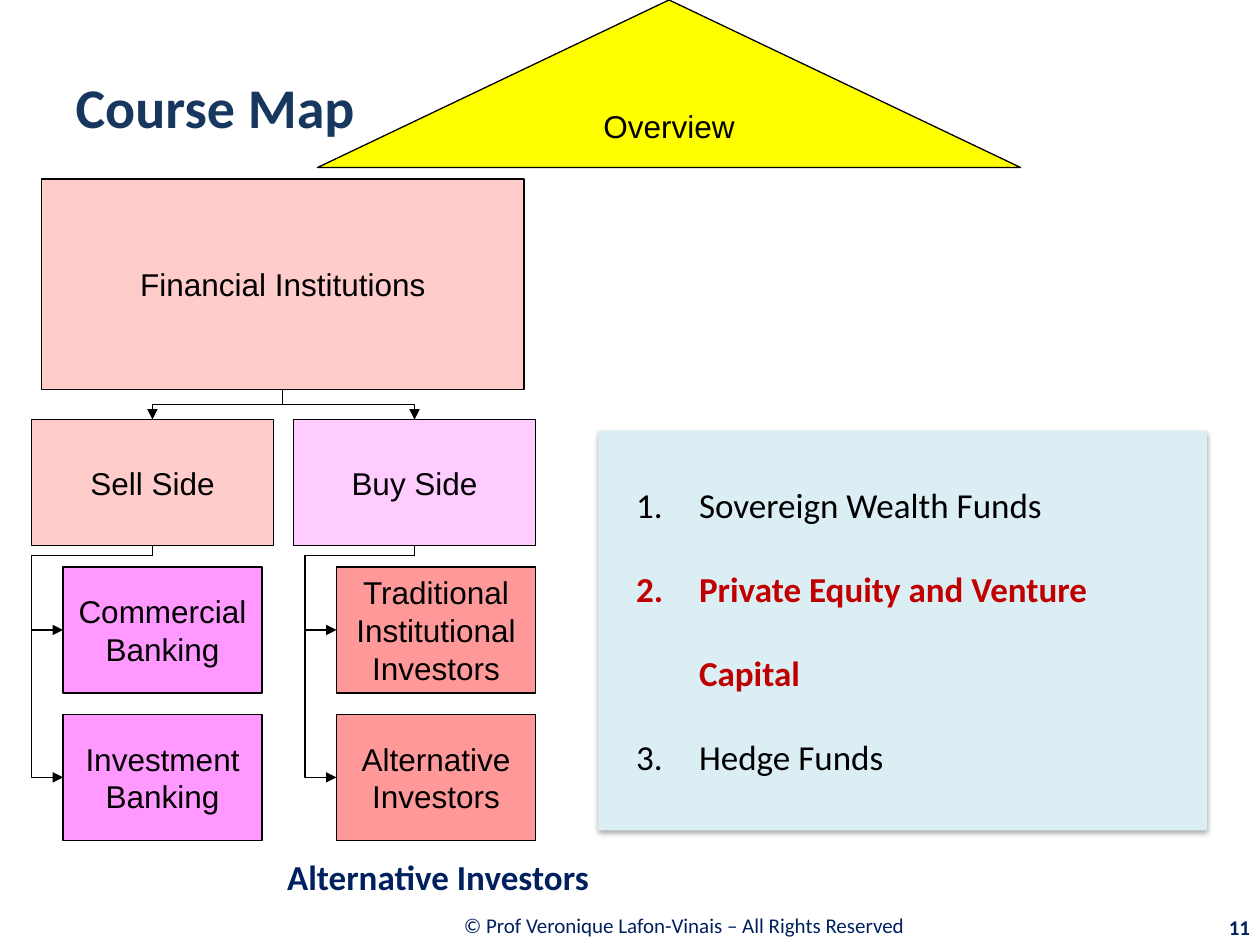
"""Build the course map slide: an overview roof, an institution tree and a topic list."""
from dataclasses import dataclass

from lxml import etree
from pptx import Presentation
from pptx.dml.color import RGBColor
from pptx.enum.shapes import MSO_CONNECTOR, MSO_SHAPE
from pptx.enum.text import MSO_ANCHOR, MSO_AUTO_SIZE, PP_ALIGN
from pptx.oxml.ns import qn
from pptx.util import Inches, Pt

ELBOW = MSO_CONNECTOR.ELBOW
RECTANGLE, ROOF = MSO_SHAPE.RECTANGLE, MSO_SHAPE.FLOWCHART_EXTRACT
LEFT, CENTER, RIGHT = PP_ALIGN.LEFT, PP_ALIGN.CENTER, PP_ALIGN.RIGHT
MIDDLE, FIXED = MSO_ANCHOR.MIDDLE, MSO_AUTO_SIZE.NONE


@dataclass(frozen=True)
class Theme:
    ink: str = "000000"
    title: str = "17375E"
    navy: str = "002060"
    accent: str = "C00000"
    yellow: str = "FFFF00"
    rose: str = "FFCCCC"
    lilac: str = "FFCCFF"
    magenta: str = "FF99FF"
    coral: str = "FF9999"
    panel: str = "DBEEF4"
    heading_font: str = "Calibri"
    map_font: str = "Arial"
    title_size: int = 32
    body_size: int = 20
    map_size: int = 18
    small_size: int = 12
    line_width: float = 0.75


THEME = Theme()


@dataclass(frozen=True)
class Node:
    text: str
    left: float
    top: float
    width: float
    height: float
    fill: str
    geometry: MSO_SHAPE = RECTANGLE
    wrap: bool = False

    @property
    def bottom_center(self) -> tuple[float, float]:
        return self.left + self.width / 2, self.top + self.height

    @property
    def top_center(self) -> tuple[float, float]:
        return self.left + self.width / 2, self.top

    @property
    def left_middle(self) -> tuple[float, float]:
        return self.left, self.top + self.height / 2


@dataclass(frozen=True)
class Branch:
    head: Node
    rail: float
    leaf_left: float
    leaf_fill: str
    leaves: tuple[str, ...]


@dataclass(frozen=True)
class Topic:
    text: str
    color: str = THEME.ink
    bold: bool = False
    spacing: float = 2


OVERVIEW = Node("Overview", 2.52, 0, 5.58, 1.33, THEME.yellow, ROOF)
INSTITUTIONS = Node("Financial Institutions", 0.33, 1.42, 3.83, 1.67, THEME.rose)
BRANCHES = (
    Branch(Node("Sell Side", 0.25, 3.33, 1.92, 1, THEME.rose), 0.25, 0.5, THEME.magenta,
           ("Commercial Banking", "Investment Banking")),
    Branch(Node("Buy Side", 2.33, 3.33, 1.92, 1, THEME.lilac), 2.42, 2.67, THEME.coral,
           ("Traditional Institutional Investors", "Alternative Investors")),
)
LEAF_TOP, LEAF_STEP, LEAF_WIDTH, LEAF_HEIGHT, RAIL_DROP = 4.5, 1.17, 1.58, 1, 0.08
TOPICS = (
    Topic("Sovereign Wealth Funds", spacing=1),
    Topic("Private Equity and Venture Capital", THEME.accent, True),
    Topic("Hedge Funds"),
)


def write(para, text: str, *, size: float, color: str = THEME.ink,
          font: str = THEME.heading_font, bold: bool = False, align=LEFT) -> None:
    """Put one formatted run in a paragraph."""
    para.alignment = align
    span = para.add_run()
    span.text = text
    span.font.name, span.font.size, span.font.bold = font, Pt(size), bold
    span.font.color.rgb = RGBColor.from_string(color)


def add_label(page, text: str, left: float, top: float, width: float, height: float, **style) -> None:
    """Add a one-line text box."""
    box = page.shapes.add_textbox(*map(Inches, (left, top, width, height)))
    box.text_frame.word_wrap = True
    box.text_frame.vertical_anchor = MIDDLE
    write(box.text_frame.paragraphs[0], text, **style)


def add_node(page, node: Node) -> None:
    """Draw one outlined, labelled shape of the map."""
    box = page.shapes.add_shape(
        node.geometry, *map(Inches, (node.left, node.top, node.width, node.height)))
    box.shadow.inherit = False
    box.fill.solid()
    box.fill.fore_color.rgb = RGBColor.from_string(node.fill)
    box.line.color.rgb = RGBColor.from_string(THEME.ink)
    box.line.width = Pt(THEME.line_width)
    box.text_frame.word_wrap = node.wrap
    box.text_frame.vertical_anchor = MIDDLE
    write(box.text_frame.paragraphs[0], node.text, size=THEME.map_size,
          font=THEME.map_font, align=CENTER)


def add_elbow(page, start: tuple[float, float], end: tuple[float, float], *bends: float) -> None:
    """Draw a bent arrow that leaves its start downwards, with bends as fractions of its extent."""
    across, down = abs(end[0] - start[0]), end[1] - start[1]
    left = (start[0] + end[0] - down) / 2
    top = (start[1] + end[1] - across) / 2
    arrow = page.shapes.add_connector(ELBOW, *map(Inches, (left, top, left + down, top + across)))
    arrow.line.color.rgb = RGBColor.from_string(THEME.ink)
    arrow.line.width = Pt(THEME.line_width)
    properties = arrow._element.spPr
    frame = properties.find(qn("a:xfrm"))
    if end[0] > start[0]:
        frame.set("rot", "16200000")
        frame.set("flipH", "1")
    else:
        frame.set("rot", "5400000")
    geometry = properties.find(qn("a:prstGeom"))
    geometry.set("prst", f"bentConnector{len(bends) + 2}")
    guides = geometry.find(qn("a:avLst"))
    for number, bend in enumerate(bends, 1):
        etree.SubElement(guides, qn("a:gd"), name=f"adj{number}", fmla=f"val {round(bend * 100000)}")
    etree.SubElement(properties.find(qn("a:ln")), qn("a:tailEnd"), type="triangle")
    etree.SubElement(properties, qn("a:effectLst"))


def add_branch(page, branch: Branch) -> None:
    """Draw one side of the tree with its leaves and arrows."""
    add_node(page, branch.head)
    start = branch.head.bottom_center
    add_elbow(page, INSTITUTIONS.bottom_center, branch.head.top_center, 0.5)
    for row, text in enumerate(branch.leaves):
        leaf = Node(text, branch.leaf_left, LEAF_TOP + row * LEAF_STEP, LEAF_WIDTH,
                    LEAF_HEIGHT, branch.leaf_fill, wrap=True)
        add_node(page, leaf)
        end = leaf.left_middle
        add_elbow(page, start, end, RAIL_DROP / (end[1] - start[1]),
                  (start[0] - branch.rail) / (start[0] - end[0]))


def add_topics(page, topics: tuple[Topic, ...]) -> None:
    """Draw the shaded panel with its numbered topics."""
    panel = page.shapes.add_shape(RECTANGLE, *map(Inches, (4.75, 3.42, 4.83, 3.17)))
    panel.fill.solid()
    panel.fill.fore_color.rgb = RGBColor.from_string(THEME.panel)
    panel.line.fill.background()
    panel.shadow.inherit = False
    shadow = etree.SubElement(
        panel._element.spPr.find(qn("a:effectLst")), qn("a:outerShdw"), blurRad=str(Pt(3.1)),
        dist=str(Pt(1.8)), dir="5400000", rotWithShape="0")
    tint = etree.SubElement(shadow, qn("a:srgbClr"), val=THEME.ink)
    etree.SubElement(tint, qn("a:alpha"), val="35000")
    frame = panel.text_frame
    frame.word_wrap = True
    frame.vertical_anchor = MIDDLE
    for index, topic in enumerate(topics):
        para = frame.add_paragraph() if index else frame.paragraphs[0]
        para.line_spacing = topic.spacing
        layout = para._p.get_or_add_pPr()
        layout.set("marL", str(Inches(0.7)))
        layout.set("indent", str(Inches(-0.5)))
        etree.SubElement(layout, qn("a:buFont"), typeface="+mj-lt")
        etree.SubElement(layout, qn("a:buAutoNum"), type="arabicPeriod")
        write(para, topic.text, size=THEME.body_size, color=topic.color, bold=topic.bold)


def main() -> None:
    """Build and save the deck."""
    deck = Presentation()
    deck.slide_width, deck.slide_height = Inches(10), Inches(7.5)
    page = deck.slides.add_slide(deck.slide_layouts[5])
    title = page.shapes.title
    title.left, title.top, title.width, title.height = map(Inches, (0.5, 0.13, 2.58, 1.42))
    title.text_frame.auto_size = FIXED
    title.text_frame.vertical_anchor = MIDDLE
    write(title.text_frame.paragraphs[0], "Course Map", size=THEME.title_size,
          color=THEME.title, bold=True)
    for branch in BRANCHES:
        add_branch(page, branch)
    add_node(page, INSTITUTIONS)
    add_node(page, OVERVIEW)
    add_topics(page, TOPICS)
    add_label(page, "Alternative Investors", 2.18, 6.72, 7.82, 0.47,
              size=THEME.body_size, color=THEME.navy, bold=True)
    add_label(page, "© Prof Veronique Lafon-Vinais – All Rights Reserved", 2.19, 7.15, 6.48, 0.39,
              size=THEME.small_size, color=THEME.navy, align=CENTER)
    add_label(page, "11", 9.01, 7.2, 1.01, 0.32,
              size=THEME.small_size, color=THEME.navy, bold=True, align=RIGHT)
    deck.save("out.pptx")


if __name__ == "__main__":
    main()
